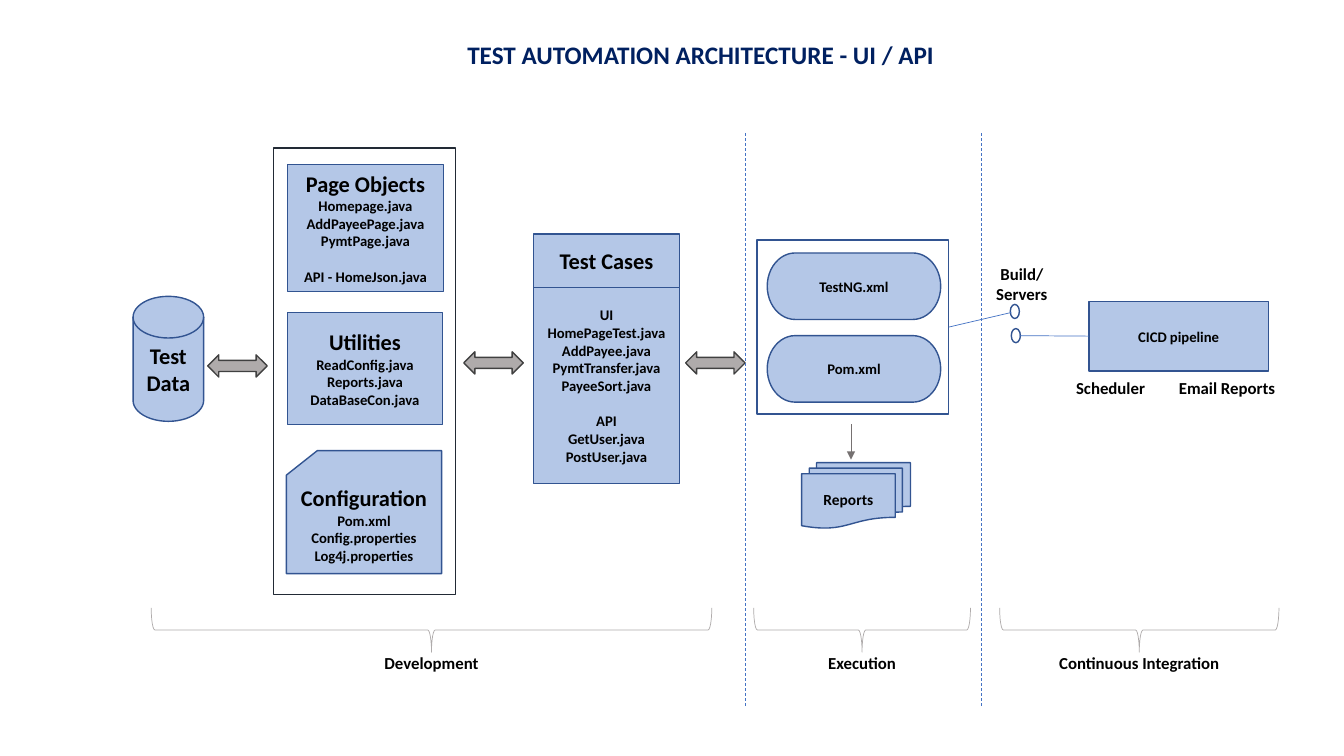
from lxml.etree import SubElement
from pptx import Presentation
from pptx.dml.color import RGBColor
from pptx.enum.dml import MSO_LINE
from pptx.enum.shapes import MSO_CONNECTOR, MSO_SHAPE as Preset
from pptx.enum.text import MSO_ANCHOR, PP_ALIGN
from pptx.oxml.ns import qn
from pptx.util import Inches, Pt

COLORS = {
    "panel": "B4C7E7",
    "outline": "325491",
    "frame": "222A35",
    "arrow": "AFABAB",
    "arrow_edge": "404040",
    "link": "4472C4",
    "report_link": "767171",
    "text": "000000",
    "title": "002060",
}
HEADING, DETAIL, REPORT, LABEL, TITLE = 16, 10.5, 11, 12, 18
GROUP_GAP = 12.8
BRACE_DEPTH, BRACE_MIDDLE = 0.44, 6.25


def color(name):
    return RGBColor.from_string(COLORS[name])


def apply_format(target, values):
    for attribute, value in values.items():
        setattr(target, attribute, value)


def write_lines(frame, lines, ink="text"):
    apply_format(frame, {"word_wrap": True})
    for index, (wording, size, gap) in enumerate(lines):
        paragraph = frame.paragraphs[0] if index == 0 else frame.add_paragraph()
        apply_format(paragraph, {"alignment": PP_ALIGN.CENTER, "space_before": Pt(gap)})
        run = paragraph.add_run()
        run.text = wording
        apply_format(run.font, {"name": "Calibri", "size": Pt(size), "bold": True})
        run.font.color.rgb = color(ink)


def lines_of(heading="", *groups):
    lines = [(heading, HEADING, 0)] if heading else []
    for number, group in enumerate(groups):
        for position, wording in enumerate(group.split()if number < 0 else group.split("|")):
            gap = GROUP_GAP if number and position == 0 else 0
            lines.append((wording, DETAIL, gap))
    return lines


def add_block(slide, preset, box, lines=(), fill="panel", edge="outline", weight=1):
    block = slide.shapes.add_shape(preset, *map(Inches, box))
    block.shadow.inherit = False
    if fill:
        block.fill.solid()
        block.fill.fore_color.rgb = color(fill)
    else:
        block.fill.background()
    block.line.color.rgb = color(edge)
    block.line.width = Pt(weight)
    if lines:
        block.text_frame.vertical_anchor = MSO_ANCHOR.MIDDLE
        write_lines(block.text_frame, lines)
    return block


def add_label(slide, box, wordings, size=LABEL, ink="text"):
    label = slide.shapes.add_textbox(*map(Inches, box))
    write_lines(label.text_frame, [(wording, size, 0) for wording in wordings], ink)


def add_link(slide, start, end, ink="link", dashed=False, arrow=False):
    link = slide.shapes.add_connector(MSO_CONNECTOR.STRAIGHT, *map(Inches, start + end))
    link.line.color.rgb = color(ink)
    link.line.width = Pt(0.5)
    if dashed:
        link.line.dash_style = MSO_LINE.DASH
    if arrow:
        SubElement(link.line._get_or_add_ln(), qn("a:tailEnd"), type="triangle")
    SubElement(link._element.spPr, qn("a:effectLst"))
    return link


def add_phase(slide, center, span, name):
    brace_box = (center - BRACE_DEPTH / 2, BRACE_MIDDLE - span / 2, BRACE_DEPTH, span)
    brace = add_block(slide, Preset.LEFT_BRACE, brace_box, fill=None, edge="arrow", weight=0.5)
    brace.rotation = 270
    add_label(slide, (center - 1.22, 6.43, 2.44, 0.3), [name])


def add_development(slide):
    add_block(slide, Preset.FLOWCHART_MAGNETIC_DISK, (1.32, 2.94, 0.7, 1.24), lines_of("Test Data"))
    add_block(slide, Preset.RECTANGLE, (2.71, 1.47, 1.81, 4.43), fill=None, edge="frame")
    add_block(slide, Preset.RECTANGLE, (2.85, 1.63, 1.55, 1.26), lines_of(
        "Page Objects", "Homepage.java|AddPayeePage.java|PymtPage.java", "API - HomeJson.java"))
    add_block(slide, Preset.RECTANGLE, (2.85, 3.1, 1.54, 1.11), lines_of(
        "Utilities", "ReadConfig.java|Reports.java|DataBaseCon.java"))
    add_block(slide, Preset.FLOWCHART_CARD, (2.84, 4.47, 1.54, 1.22), lines_of(
        "Configuration", "Pom.xml|Config.properties|Log4j.properties"))
    add_block(slide, Preset.RECTANGLE, (5.29, 2.32, 1.45, 0.53), lines_of("Test Cases"))
    add_block(slide, Preset.RECTANGLE, (5.29, 2.85, 1.45, 1.95), lines_of(
        "", "UI|HomePageTest.java|AddPayee.java|PymtTransfer.java|PayeeSort.java",
        "API|GetUser.java|PostUser.java"))
    for left, top in ((2.06, 3.52), (4.6, 3.49), (6.8, 3.49)):
        add_block(slide, Preset.LEFT_RIGHT_ARROW, (left, top, 0.59, 0.22),
                  fill="arrow", edge="arrow_edge")


def add_execution(slide):
    runner = add_block(slide, Preset.RECTANGLE, (7.51, 2.38, 1.9, 1.73), fill=None)
    for top, suite in ((2.51, "TestNG.xml"), (3.33, "Pom.xml")):
        add_block(slide, Preset.FLOWCHART_TERMINATOR, (7.61, top, 1.72, 0.66), lines_of("", suite))
    add_link(slide, (8.44, 4.21), (8.44, 4.56), ink="report_link", arrow=True)
    add_block(slide, Preset.FLOWCHART_MULTIDOCUMENT, (7.95, 4.59, 1.08, 0.65),
              [("Reports", REPORT, 0)])
    return runner


def add_integration(slide, runner):
    pipeline = add_block(slide, Preset.RECTANGLE, (10.8, 2.99, 1.78, 0.69),
                         lines_of("", "CICD pipeline"))
    for left, top in ((10.02, 3.02), (10.03, 3.26)):
        add_block(slide, Preset.OVAL, (left, top, 0.09, 0.14), fill=None)
    add_link(slide, (9.41, 3.24), (10.03, 3.1)).begin_connect(runner, 3)
    add_link(slide, (10.11, 3.33), (10.8, 3.33)).end_connect(pipeline, 1)
    add_label(slide, (9.68, 2.57, 0.91, 0.5), ["Build/", "Servers"])
    add_label(slide, (10.56, 3.7, 0.91, 0.3), ["Scheduler"])
    add_label(slide, (11.48, 3.7, 1.38, 0.3), ["Email Reports"])


def main():
    deck = Presentation()
    apply_format(deck, {"slide_width": Inches(13.33), "slide_height": Inches(7.5)})
    slide = deck.slides.add_slide(deck.slide_layouts[6])
    add_label(slide, (4.22, 0.34, 5.46, 0.4), ["TEST AUTOMATION ARCHITECTURE - UI / API"],
              TITLE, "title")
    add_development(slide)
    runner = add_execution(slide)
    add_integration(slide, runner)
    for divider in (7.39, 9.73):
        add_link(slide, (divider, 1.32), (divider, 7), dashed=True)
    for center, span, name in (
        (4.28, 5.56, "Development"),
        (8.55, 2.15, "Execution"),
        (11.3, 2.77, "Continuous Integration"),
    ):
        add_phase(slide, center, span, name)
    deck.save("out.pptx")


if __name__ == "__main__":
    main()
